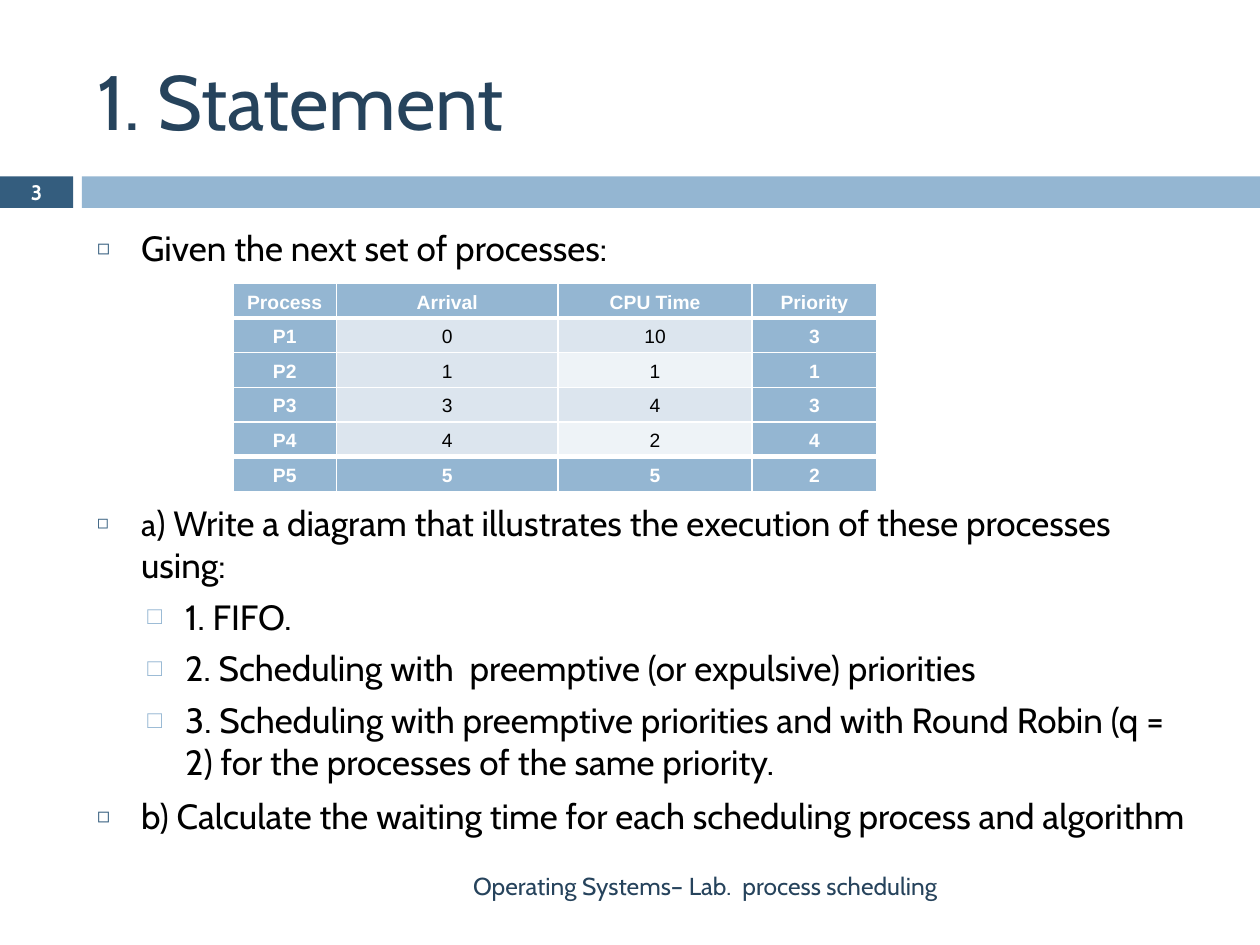
from dataclasses import dataclass

from lxml.etree import SubElement
from pptx import Presentation
from pptx.dml.color import RGBColor
from pptx.enum.shapes import MSO_SHAPE as Shape
from pptx.enum.text import MSO_ANCHOR as Anchor, MSO_AUTO_SIZE as AutoSize, PP_ALIGN as Align
from pptx.oxml.ns import qn
from pptx.util import Inches, Pt

NAVY = RGBColor(0x26, 0x43, 0x5C)
DARK_BLUE = RGBColor(0x34, 0x5D, 0x7E)
BLUE = RGBColor(0x94, 0xB6, 0xD2)
PALE = RGBColor(0xDC, 0xE5, 0xEE)
PALER = RGBColor(0xEE, 0xF3, 0xF7)
WHITE = RGBColor(0xFF, 0xFF, 0xFF)
BLACK = RGBColor(0, 0, 0)


@dataclass
class Band:
    left: float
    width: float
    color: RGBColor


@dataclass
class Level:
    indent: float
    hanging: float
    before: float
    char: str
    color: RGBColor
    scale: int


@dataclass
class Item:
    text: str
    level: int = 0
    lead: str = ""
    before: float | None = None


BANDS = [Band(0, 0.58, DARK_BLUE), Band(0.65, 9.35, BLUE)]
LEVELS = [
    Level(0.35, 0.35, 7, "◻", DARK_BLUE, 60),
    Level(0.7, 0.3, 5.5, "□", BLUE, 70),
]
TABLE_GAP = 133
ITEMS = [
    Item("Given the next set of processes:"),
    Item(") Write a diagram that illustrates the execution of these processes using:",
         lead="a", before=TABLE_GAP),
    Item("1. FIFO.", 1),
    Item("2. Scheduling with  preemptive (or expulsive) priorities", 1),
    Item("3. Scheduling with preemptive priorities and with Round Robin (q = 2) "
         "for the processes of the same priority.", 1),
    Item("b) Calculate the waiting time for each scheduling process and algorithm"),
]
COLUMNS = [0.82, 1.76, 1.54, 0.99]
ROWS = [
    ("Process", "Arrival", "CPU Time", "Priority"),
    ("P1", "0", "10", "3"),
    ("P2", "1", "1", "1"),
    ("P3", "3", "4", "3"),
    ("P4", "4", "2", "4"),
    ("P5", "5", "5", "2"),
]


def place(sp, left: float, top: float, width: float, height: float) -> None:
    sp.left, sp.top = Inches(left), Inches(top)
    sp.width, sp.height = Inches(width), Inches(height)


def add_run(p, text: str, *, size: float, color: RGBColor = BLACK,
            font: str = "Cabin", bold: bool = False) -> None:
    r = p.add_run()
    r.text = text
    r.font.name, r.font.size, r.font.bold = font, Pt(size), bold
    r.font.color.rgb = color


def write_line(tf, text: str, *, align: Align, **style) -> None:
    tf.word_wrap = True
    tf.auto_size = AutoSize.NONE
    tf.vertical_anchor = Anchor.MIDDLE
    p = tf.paragraphs[0]
    p.alignment = align
    add_run(p, text, **style)


def add_band(s, band: Band) -> None:
    sp = s.shapes.add_shape(Shape.RECTANGLE, Inches(band.left), Inches(1.4),
                            Inches(band.width), Inches(0.25))
    sp.shadow.inherit = False
    sp.fill.solid()
    sp.fill.fore_color.rgb = band.color
    sp.line.fill.background()


def set_bullet(p, level: Level) -> None:
    pPr = p._p.get_or_add_pPr()
    pPr.set("marL", str(Inches(level.indent)))
    pPr.set("indent", str(-Inches(level.hanging)))
    color = SubElement(pPr, qn("a:buClr"))
    SubElement(color, qn("a:srgbClr"), val=str(level.color))
    SubElement(pPr, qn("a:buSzPct"), val=str(level.scale * 1000))
    SubElement(pPr, qn("a:buChar"), char=level.char)


def fill_body(tf, items: list[Item]) -> None:
    tf.auto_size = AutoSize.NONE
    for i, item in enumerate(items):
        p = tf.add_paragraph() if i else tf.paragraphs[0]
        level = LEVELS[item.level]
        p.level = item.level
        p.space_before = Pt(item.before or level.before)
        set_bullet(p, level)
        if item.lead:
            add_run(p, item.lead, size=18)
        add_run(p, item.text, size=20)


def set_borders(cell, top: float, bottom: float) -> None:
    tcPr = cell._tc.get_or_add_tcPr()
    for side, width in (("L", 1), ("R", 1), ("T", top), ("B", bottom)):
        ln = SubElement(tcPr, qn(f"a:ln{side}"), w=str(Pt(width)))
        fill = SubElement(ln, qn("a:solidFill"))
        SubElement(fill, qn("a:srgbClr"), val=str(WHITE))


def add_process_table(s) -> None:
    last_row, last_col = len(ROWS) - 1, len(COLUMNS) - 1
    table = s.shapes.add_table(len(ROWS), len(COLUMNS), Inches(1.85), Inches(2.25),
                               Inches(sum(COLUMNS)), Inches(1.65)).table
    for column, width in zip(table.columns, COLUMNS):
        column.width = Inches(width)
    for i, row in enumerate(ROWS):
        for j, text in enumerate(row):
            cell = table.cell(i, j)
            edge = i in (0, last_row) or j in (0, last_col)
            cell.margin_left = cell.margin_right = Inches(0.07)
            cell.margin_top = cell.margin_bottom = 0
            cell.vertical_anchor = Anchor.MIDDLE
            set_borders(cell, top=3 if i in (1, last_row) else 1,
                        bottom=3 if i in (0, last_row - 1) else 1)
            cell.fill.solid()
            cell.fill.fore_color.rgb = BLUE if edge else PALER if j == 2 and i % 2 == 0 else PALE
            p = cell.text_frame.paragraphs[0]
            p.alignment = Align.CENTER
            p.line_spacing = 1.15
            add_run(p, text, size=11, color=WHITE if edge else BLACK, font="Arial", bold=edge)


def main() -> None:
    prs = Presentation()
    prs.slide_width, prs.slide_height = Inches(10), Inches(7.5)
    s = prs.slides.add_slide(prs.slide_layouts[1])
    for band in BANDS:
        add_band(s, band)

    title, body = s.shapes.title, s.placeholders[1]
    place(title, 0.67, 0.25, 8.92, 1.08)
    write_line(title.text_frame, "1. Statement", align=Align.LEFT, size=44, color=NAVY)
    place(body, 0.67, 1.75, 8.92, 4.92)
    fill_body(body.text_frame, ITEMS)

    footer = s.shapes.add_textbox(Inches(1.61), Inches(6.83), Inches(5.93), Inches(0.4))
    write_line(footer.text_frame, "Operating Systems– Lab.  process scheduling",
               align=Align.RIGHT, size=14, color=NAVY)
    number = s.shapes.add_textbox(0, Inches(1.39), Inches(0.58), Inches(0.27))
    write_line(number.text_frame, "3", align=Align.CENTER, size=12, color=WHITE, bold=True)

    add_process_table(s)
    prs.save("out.pptx")


if __name__ == "__main__":
    main()
